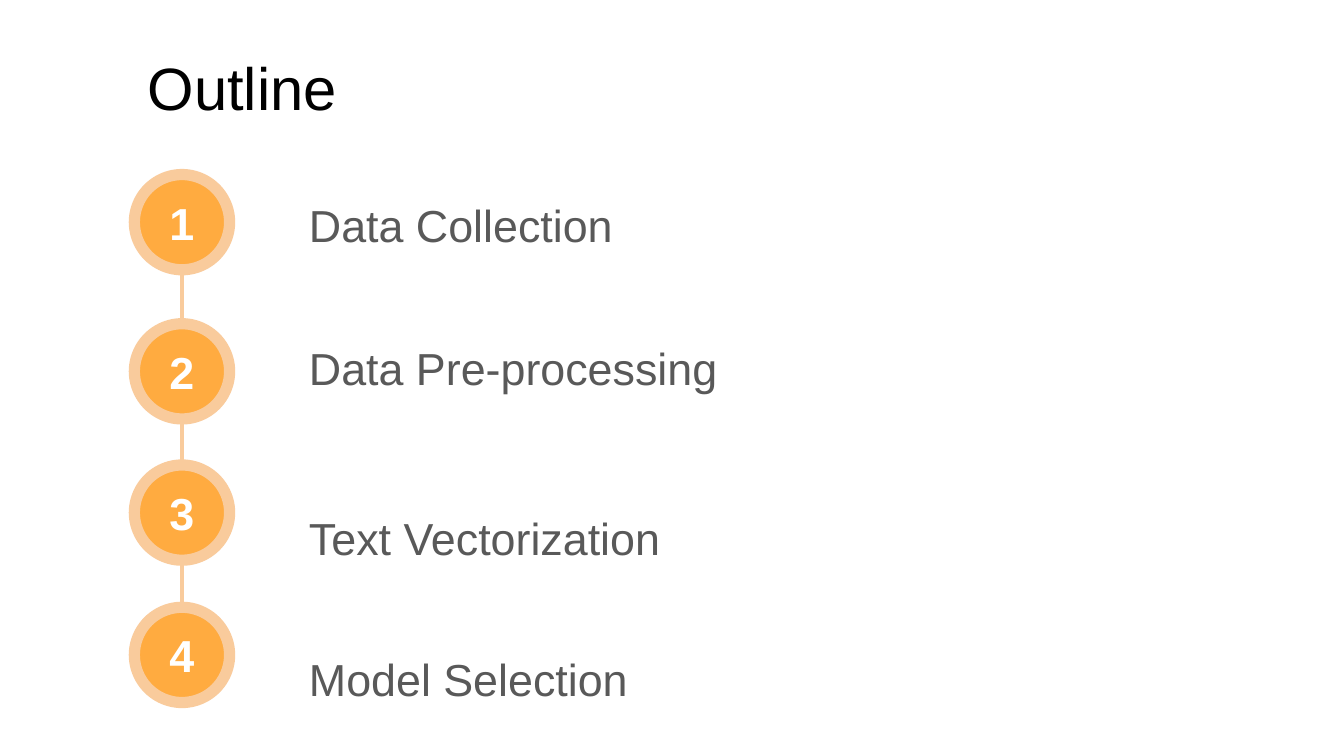
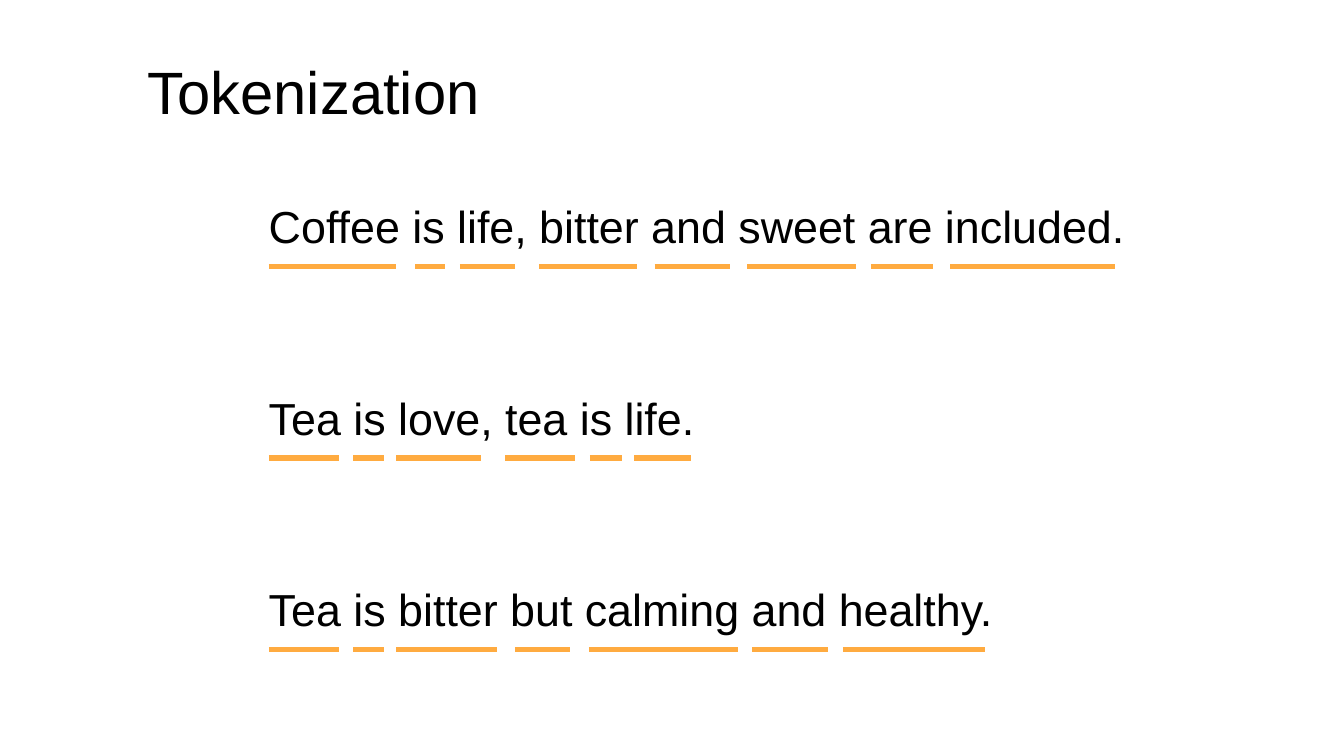
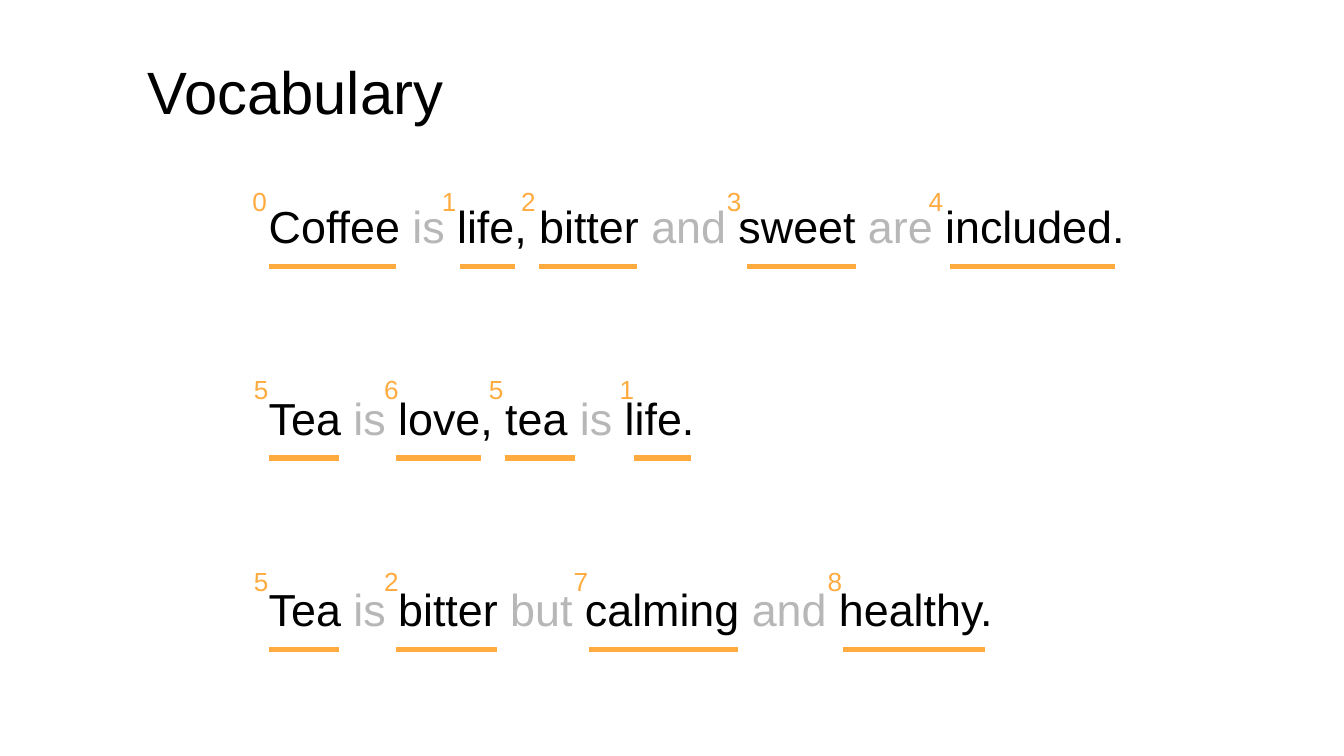
from dataclasses import dataclass
from itertools import groupby, pairwise
from typing import NamedTuple

from lxml import etree
from pptx import Presentation
from pptx.dml.color import RGBColor
from pptx.enum.shapes import MSO_CONNECTOR, MSO_SHAPE
from pptx.enum.text import MSO_ANCHOR, MSO_AUTO_SIZE, PP_ALIGN
from pptx.oxml.ns import qn
from pptx.slide import Slide
from pptx.text.text import TextFrame, _Paragraph
from pptx.util import Cm, Pt

STRAIGHT = MSO_CONNECTOR.STRAIGHT
OVAL = MSO_SHAPE.OVAL
MIDDLE = MSO_ANCHOR.MIDDLE
TOP = MSO_ANCHOR.TOP
GROW = MSO_AUTO_SIZE.SHAPE_TO_FIT_TEXT
FIXED = MSO_AUTO_SIZE.NONE
CENTER = PP_ALIGN.CENTER


@dataclass(frozen=True)
class Theme:
    font: str = "Arial"
    black: RGBColor = RGBColor(0x00, 0x00, 0x00)
    white: RGBColor = RGBColor(0xFF, 0xFF, 0xFF)
    grey: RGBColor = RGBColor(0x59, 0x59, 0x59)
    faded: RGBColor = RGBColor(0xB7, 0xB7, 0xB7)
    orange: RGBColor = RGBColor(0xFF, 0xAB, 0x40)
    peach: RGBColor = RGBColor(0xF9, 0xCB, 0x9C)
    title_size: int = 32
    body_size: int = 24
    index_size: int = 14
    ring_width: float = 6
    link_width: float = 2.25
    underline_width: float = 3


THEME = Theme()


class Box(NamedTuple):
    left: float
    top: float
    width: float
    height: float


class Step(NamedTuple):
    text: str
    circle_top: float
    text_top: float
    spaced: bool = False


class Token(NamedTuple):
    text: str
    start: float
    end: float
    index: str = ""
    index_left: float = 0


class Sentence(NamedTuple):
    index_top: float
    tokens: list[Token]


STEPS = [
    Step("Data Collection", 3.3, 3.48),
    Step("Data Pre-processing", 6.12, 6.2),
    Step("Text Vectorization", 8.79, 8.89, True),
    Step("Model Selection", 11.48, 11.56, True),
]
CIRCLE_LEFT = 2.54
CIRCLE_SIZE = 1.8

SENTENCES = [
    Sentence(3.25, [
        Token("Coffee", 5.08, 7.49, "0", 4.52),
        Token("is", 7.85, 8.41),
        Token("life,", 8.69, 9.73, "1", 8.1),
        Token("bitter", 10.19, 12.04, "2", 9.6),
        Token("and", 12.37, 13.79),
        Token("sweet", 14.12, 16.18, "3", 13.49),
        Token("are", 16.46, 17.63),
        Token("included.", 17.96, 21.08, "4", 17.3),
    ]),
    Sentence(6.81, [
        Token("Tea", 5.08, 6.4, "5", 4.55),
        Token("is", 6.68, 7.26),
        Token("love,", 7.49, 9.09, "6", 7.01),
        Token("tea", 9.55, 10.87, "5", 8.99),
        Token("is", 11.15, 11.76),
        Token("life.", 11.99, 13.06, "1", 11.46),
    ]),
    Sentence(10.44, [
        Token("Tea", 5.08, 6.4, "5", 4.55),
        Token("is", 6.68, 7.26),
        Token("bitter", 7.49, 9.4, "2", 7.01),
        Token("but", 9.73, 10.77),
        Token("calming", 11.13, 13.94, "7", 10.59),
        Token("and", 14.22, 15.65),
        Token("healthy.", 15.93, 18.62, "8", 15.39),
    ]),
]
SENTENCE_TOP = 3.51
SENTENCE_PITCH = 3.62
UNDERLINE_OFFSET = 1.53


def set_margins(frame: TextFrame) -> None:
    frame.margin_left = frame.margin_right = Cm(0.25)
    frame.margin_top = frame.margin_bottom = Cm(0.25)


def set_font(paragraph: _Paragraph, size: int, color: RGBColor) -> None:
    paragraph.font.name = THEME.font
    paragraph.font.size = Pt(size)
    paragraph.font.color.rgb = color


def add_text(slide: Slide, box: Box, text: str, size: int, color: RGBColor,
             grow: bool = True) -> _Paragraph:
    frame = slide.shapes.add_textbox(*map(Cm, box)).text_frame
    frame.word_wrap = True
    frame.auto_size = GROW if grow else FIXED
    frame.vertical_anchor = TOP
    set_margins(frame)
    paragraph = frame.paragraphs[0]
    paragraph.text = text
    set_font(paragraph, size, color)
    return paragraph


def add_title(slide: Slide, text: str, top: float = 0.79) -> None:
    add_text(slide, Box(2.54, top, 22, 1.6), text, THEME.title_size, THEME.black, grow=False)


def add_line(slide: Slide, start: tuple[float, float], end: tuple[float, float],
             color: RGBColor, width: float) -> None:
    connector = slide.shapes.add_connector(STRAIGHT, *map(Cm, start + end))
    connector.line.color.rgb = color
    connector.line.width = Pt(width)
    etree.SubElement(connector._element.spPr, qn("a:effectLst"))


def add_circle(slide: Slide, top: float, number: int) -> None:
    box = Box(CIRCLE_LEFT, top, CIRCLE_SIZE, CIRCLE_SIZE)
    shape = slide.shapes.add_shape(OVAL, *map(Cm, box))
    shape.shadow.inherit = False
    shape.fill.solid()
    shape.fill.fore_color.rgb = THEME.orange
    shape.line.color.rgb = THEME.peach
    shape.line.width = Pt(THEME.ring_width)
    frame = shape.text_frame
    frame.vertical_anchor = MIDDLE
    set_margins(frame)
    paragraph = frame.paragraphs[0]
    paragraph.text = str(number)
    paragraph.alignment = CENTER
    set_font(paragraph, THEME.body_size, THEME.white)
    paragraph.font.bold = True


def add_faded_runs(paragraph: _Paragraph, tokens: list[Token]) -> None:
    for indexed, group in groupby(tokens, key=lambda token: bool(token.index)):
        words = list(group)
        text = " ".join(token.text for token in words)
        if indexed:
            before = "" if words[0] is tokens[0] else " "
            after = "" if words[-1] is tokens[-1] else " "
            text = before + text + after
        run = paragraph.add_run()
        run.text = text
        run.font.color.rgb = THEME.black if indexed else THEME.faded


def add_sentences(slide: Slide, show_vocabulary: bool) -> None:
    for row, sentence in enumerate(SENTENCES):
        top = SENTENCE_TOP + row * SENTENCE_PITCH
        text = "" if show_vocabulary else " ".join(token.text for token in sentence.tokens)
        paragraph = add_text(slide, Box(4.83, top, 17.42, 1.55), text,
                             THEME.body_size, THEME.black)
        if show_vocabulary:
            add_faded_runs(paragraph, sentence.tokens)
        underline = top + UNDERLINE_OFFSET
        for token in sentence.tokens:
            if show_vocabulary and not token.index:
                continue
            add_line(slide, (token.start, underline), (token.end, underline),
                     THEME.orange, THEME.underline_width)
            if show_vocabulary:
                add_text(slide, Box(token.index_left, sentence.index_top, 0.79, 1.12),
                         token.index, THEME.index_size, THEME.orange)


def build_outline(slide: Slide) -> None:
    add_title(slide, "Outline", top=0.71)
    for number, step in enumerate(STEPS, start=1):
        add_circle(slide, step.circle_top, number)
        paragraph = add_text(slide, Box(5.59, step.text_top, 9.19, 1.55), step.text,
                             THEME.body_size, THEME.grey)
        if step.spaced:
            paragraph.line_spacing = 1.5
            paragraph.space_after = Pt(12)
    center = CIRCLE_LEFT + CIRCLE_SIZE / 2
    for upper, lower in pairwise(STEPS):
        add_line(slide, (center, upper.circle_top + CIRCLE_SIZE), (center, lower.circle_top),
                 THEME.peach, THEME.link_width)


def build_tokenization(slide: Slide) -> None:
    add_title(slide, "Tokenization")
    add_sentences(slide, show_vocabulary=False)


def build_vocabulary(slide: Slide) -> None:
    add_title(slide, "Vocabulary")
    add_sentences(slide, show_vocabulary=True)


def main() -> None:
    presentation = Presentation()
    presentation.slide_width = Cm(25.4)
    presentation.slide_height = Cm(14.29)
    blank = presentation.slide_layouts[6]
    for build in (build_outline, build_tokenization, build_vocabulary):
        build(presentation.slides.add_slide(blank))
    presentation.save("out.pptx")


if __name__ == "__main__":
    main()
